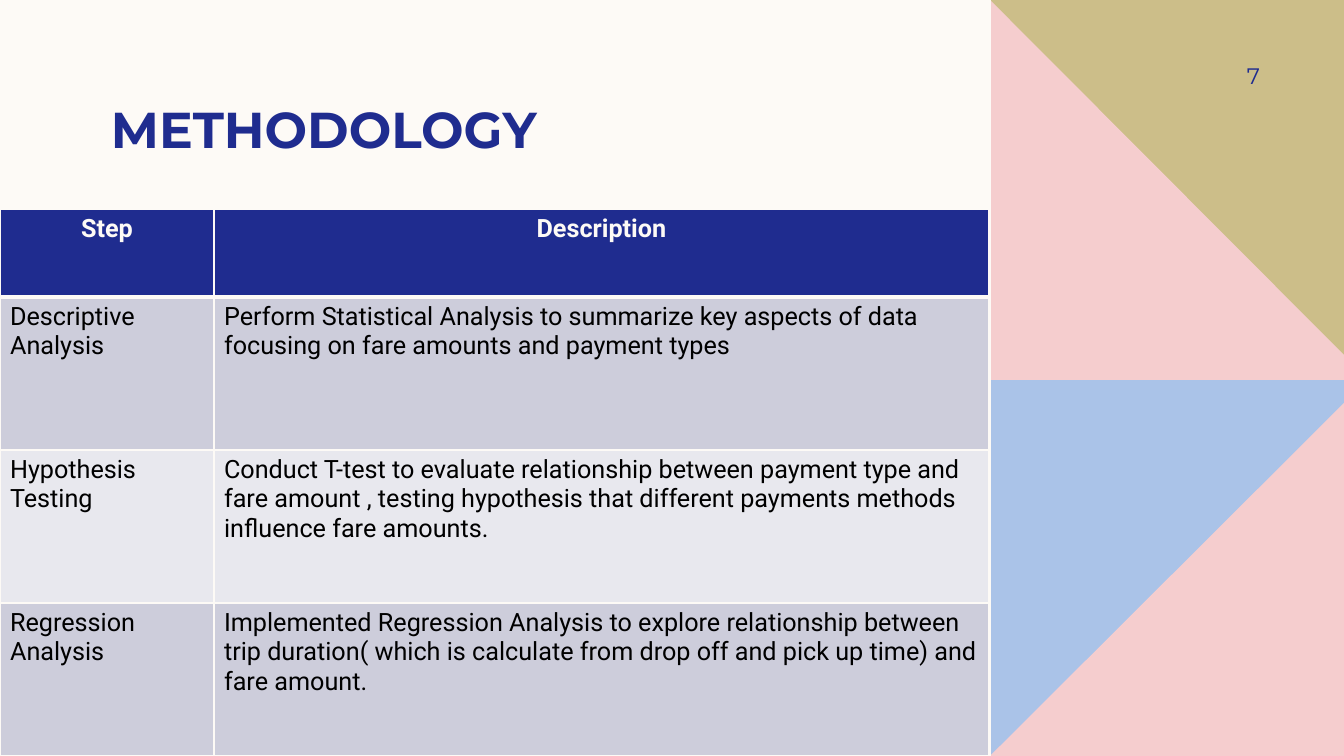
from lxml.etree import SubElement
from pptx import Presentation
from pptx.dml.color import RGBColor
from pptx.enum.text import MSO_ANCHOR, PP_ALIGN
from pptx.oxml.ns import qn
from pptx.util import Pt

COLORS = {
    "cream": "FDFAF6", "navy": "1F2C8F", "blue": "AAC3E8", "pink": "F5CDCE",
    "olive": "CCBE89", "black": "000000", "dark_band": "CDCDDB", "light_band": "E8E8EE",
}
TITLE = "METHODOLOGY"
PAGE_NUMBER = "7"
ROWS = [
    ("Step", "Description"),
    ("Descriptive Analysis",
     "Perform Statistical Analysis to summarize key aspects of data focusing on "
     "fare amounts and payment types"),
    ("Hypothesis Testing",
     "Conduct T-test to evaluate relationship between payment type and fare amount , "
     "testing hypothesis that different payments methods influence fare amounts."),
    ("Regression Analysis",
     "Implemented Regression Analysis to explore relationship between trip duration( "
     "which is calculate from drop off and pick up time) and fare amount."),
]

SCALE = 914400 / 100.8  # EMU in one px
WIDTH, HEIGHT = 1344, 756
PANEL_LEFT = 991
PANEL_SHAPES = [
    ("blue", [(PANEL_LEFT, 378), (WIDTH, 378), (WIDTH, HEIGHT), (PANEL_LEFT, HEIGHT)]),
    ("pink", [(WIDTH, 403), (WIDTH, HEIGHT), (PANEL_LEFT, HEIGHT), (PANEL_LEFT, 755)]),
    ("olive", [(PANEL_LEFT, 0), (WIDTH, 0), (WIDTH, 379), (PANEL_LEFT, 379)]),
    ("pink", [(PANEL_LEFT, 1), (WIDTH, 355), (WIDTH, 380), (PANEL_LEFT, 380)]),
]
TABLE_TOP = 209
COLUMN_WIDTHS = [214, 775]
HEADER_HEIGHT = 88
BODY_HEIGHT = (HEIGHT - TABLE_TOP - HEADER_HEIGHT) // (len(ROWS) - 1)


def px(length):
    return round(length * SCALE)


def rgb(name):
    return RGBColor.from_string(COLORS[name])


def paint(target, color):
    target.fill.solid()
    target.fill.fore_color.rgb = rgb(color)


def write(frame, text, *, size, color, font, bold=False, align=PP_ALIGN.LEFT):
    paragraph = frame.paragraphs[0]
    paragraph.alignment = align
    run = paragraph.add_run()
    run.text = text
    run.font.size = Pt(size)
    run.font.name = font
    run.font.bold = bold
    run.font.color.rgb = rgb(color)


def add_text(slide, box, text, *, anchor, insets, **style):
    """Add a wrapped text box; insets are left, top, right, bottom in px."""
    frame = slide.shapes.add_textbox(*map(px, box)).text_frame
    frame.word_wrap = True
    frame.vertical_anchor = anchor
    (frame.margin_left, frame.margin_top,
     frame.margin_right, frame.margin_bottom) = map(px, insets)
    write(frame, text, **style)


def add_panel_shape(slide, color, points):
    builder = slide.shapes.build_freeform(*points[0], scale=SCALE)
    builder.add_line_segments(points[1:], close=True)
    shape = builder.convert_to_shape()
    paint(shape, color)
    shape.line.fill.background()
    shape.shadow.inherit = False


def set_borders(cell, widths):
    """Draw cream borders; widths maps each side to points."""
    properties = cell._tc.get_or_add_tcPr()
    for position, (side, width) in enumerate(widths.items()):
        line = SubElement(properties, qn(f"a:ln{side}"), w=str(Pt(width)))
        fill = SubElement(line, qn("a:solidFill"))
        SubElement(fill, qn("a:srgbClr"), val=COLORS["cream"])
        properties.insert(position, line)


def add_steps_table(slide):
    table = slide.shapes.add_table(
        len(ROWS), len(COLUMN_WIDTHS), 0, px(TABLE_TOP),
        px(sum(COLUMN_WIDTHS)), px(HEIGHT - TABLE_TOP)).table
    for column, width in zip(table.columns, COLUMN_WIDTHS):
        column.width = px(width)
    for index, texts in enumerate(ROWS):
        header = index == 0
        table.rows[index].height = px(HEADER_HEIGHT if header else BODY_HEIGHT)
        band = "navy" if header else ("light_band", "dark_band")[index % 2]
        borders = {"L": 1, "R": 1, "T": 3 if index == 1 else 1, "B": 3 if header else 1}
        for column, text in enumerate(texts):
            cell = table.cell(index, column)
            paint(cell, band)
            set_borders(cell, borders)
            write(cell.text_frame, text, size=18, font="Roboto", bold=header,
                  color="cream" if header else "black",
                  align=PP_ALIGN.CENTER if header else PP_ALIGN.LEFT)


def main():
    presentation = Presentation()
    presentation.slide_width, presentation.slide_height = px(WIDTH), px(HEIGHT)
    slide = presentation.slides.add_slide(presentation.slide_layouts[6])
    paint(slide.background, "cream")
    for color, points in PANEL_SHAPES:
        add_panel_shape(slide, color, points)
    add_text(slide, (101, 92, 860, 67), TITLE, anchor=MSO_ANCHOR.BOTTOM,
             insets=(10, 0, 10, 0), size=36, color="navy", font="Montserrat", bold=True)
    add_text(slide, (1151, 50, 109, 52), PAGE_NUMBER, anchor=MSO_ANCHOR.MIDDLE,
             insets=(10, 5, 0, 5), size=16, color="navy", font="Montserrat",
             align=PP_ALIGN.RIGHT)
    add_steps_table(slide)
    presentation.save("out.pptx")


if __name__ == "__main__":
    main()
